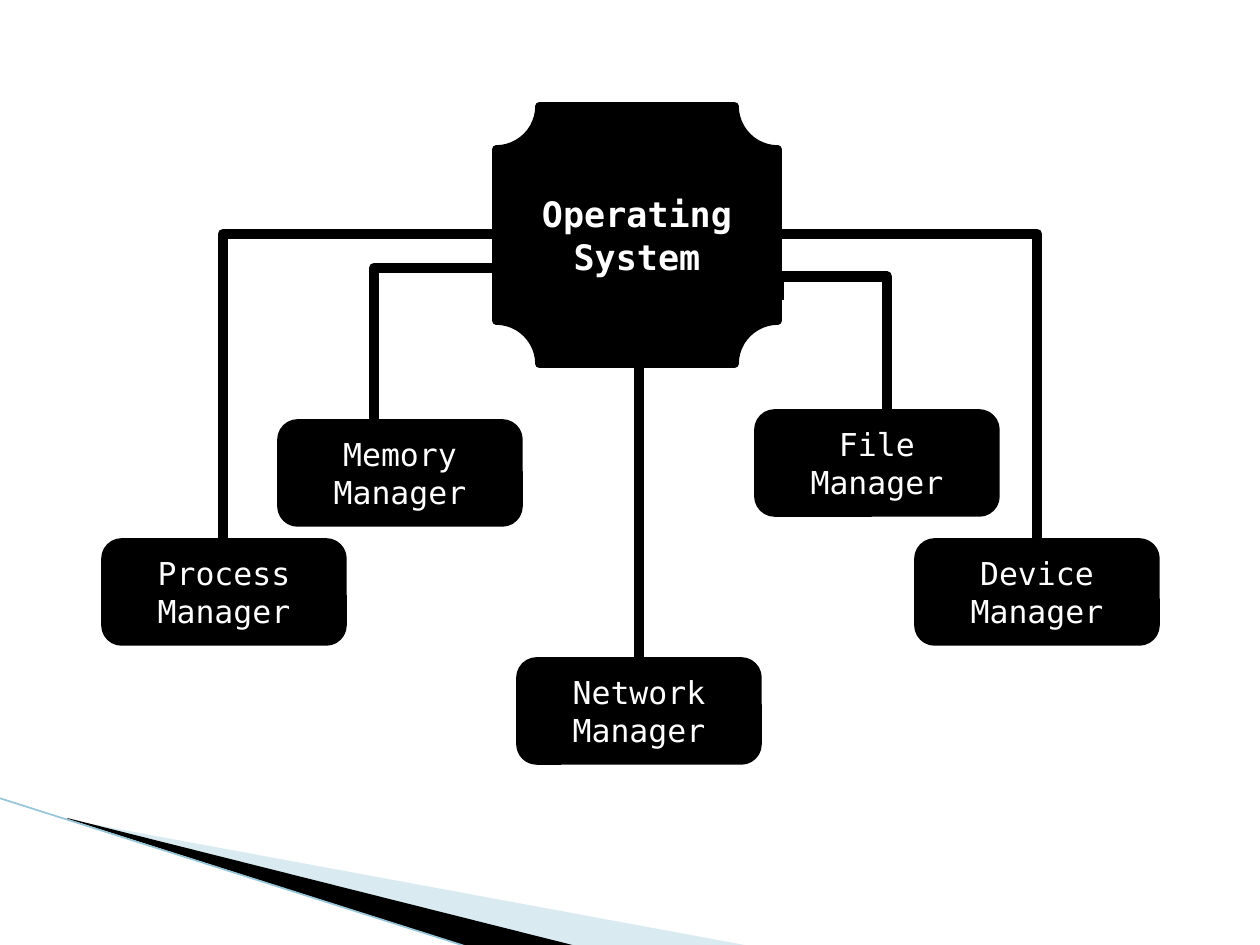
from dataclasses import dataclass

from lxml.etree import SubElement
from pptx import Presentation
from pptx.dml.color import RGBColor
from pptx.enum.shapes import MSO_CONNECTOR, MSO_SHAPE
from pptx.enum.text import MSO_ANCHOR, PP_ALIGN
from pptx.oxml.ns import qn
from pptx.util import Pt

EMU_PER_PX = 914400 / 126
FONT = "DejaVu Sans Mono"
COLORS = {"ink": "000000", "text": "FFFFFF", "sweep": "A0CBDC", "edge": "97C5D8"}
MANAGER_SIZE = (238, 100)


@dataclass(frozen=True)
class Manager:
    """A manager box, given by its name and top left corner."""
    name: str
    left: int
    top: int


@dataclass(frozen=True)
class Elbow:
    """A bent wire; rotation is in degrees and bend in thousandths."""
    begin: tuple[int, int]
    end: tuple[int, int]
    preset: str
    rotation: int = 0
    flips: tuple[str, ...] = ()
    bend: int | None = None


MANAGERS = [
    Manager("Process", 105, 542),
    Manager("Memory", 281, 423),
    Manager("Network", 520, 661),
    Manager("Device", 918, 542),
    Manager("File", 758, 413),
]
ELBOWS = [
    Elbow((223, 542), (496, 234), "bentConnector2", 90, ("flipH", "flipV")),
    Elbow((496, 265), (374, 423), "bentConnector3", 90, bend=19),
    Elbow((779, 234), (1037, 542), "bentConnector2"),
    Elbow((779, 300), (887, 512), "bentConnector3", 270, ("flipH",), bend=-110),
]


def px(length: float) -> int:
    """Turn pixels into EMU."""
    return round(length * EMU_PER_PX)


def color(key: str) -> RGBColor:
    """Look up a named colour."""
    return RGBColor.from_string(COLORS[key])


def write_text(shape, text: str, *, size: int, bold: bool = False) -> None:
    """Write centred lines of text, one paragraph each."""
    frame = shape.text_frame
    frame.word_wrap = True
    frame.vertical_anchor = MSO_ANCHOR.MIDDLE
    frame.text = text
    for paragraph in frame.paragraphs:
        paragraph.alignment = PP_ALIGN.CENTER
        for run in paragraph.runs:
            run.font.name = FONT
            run.font.size = Pt(size)
            run.font.bold = bold
            run.font.color.rgb = color("text")


def add_box(slide, preset, left: int, top: int, width: int, height: int):
    """Add a filled and outlined box."""
    box = slide.shapes.add_shape(preset, px(left), px(top), px(width), px(height))
    box.shadow.inherit = False
    box.fill.solid()
    box.fill.fore_color.rgb = color("ink")
    box.line.color.rgb = color("ink")
    box.line.width = Pt(4.33)
    return box


def add_wire(slide, kind, begin, end, *, line: str = "ink", width: float = 6):
    """Add a connector without a shadow."""
    wire = slide.shapes.add_connector(kind, *(px(value) for value in (*begin, *end)))
    wire.line.color.rgb = color(line)
    wire.line.width = Pt(width)
    SubElement(wire._element.spPr, qn("a:effectLst"))
    return wire


def add_elbow(slide, elbow: Elbow) -> None:
    """Add a bent connector, turned about the centre of its ends."""
    (x1, y1), (x2, y2) = elbow.begin, elbow.end
    width, height = abs(x2 - x1), abs(y2 - y1)
    if elbow.rotation in (90, 270):
        width, height = height, width
    left, top = (x1 + x2 - width) / 2, (y1 + y2 - height) / 2
    wire = add_wire(slide, MSO_CONNECTOR.ELBOW, (left, top), (left + width, top + height))
    properties = wire._element.spPr
    frame = properties.find(qn("a:xfrm"))
    if elbow.rotation:
        frame.set("rot", str(elbow.rotation * 60000))
    for flip in elbow.flips:
        frame.set(flip, "1")
    geometry = properties.find(qn("a:prstGeom"))
    geometry.set("prst", elbow.preset)
    if elbow.bend is not None:
        guides = geometry.find(qn("a:avLst"))
        SubElement(guides, qn("a:gd"), name="adj1", fmla=f"val {elbow.bend * 100}")


def add_sweep(slide, points: list[tuple[int, int]], fill: str, opacity: int = 100) -> None:
    """Add a filled sliver without an outline."""
    builder = slide.shapes.build_freeform(*points[0], scale=EMU_PER_PX)
    builder.add_line_segments(points[1:], close=True)
    sweep = builder.convert_to_shape()
    sweep.shadow.inherit = False
    sweep.fill.solid()
    sweep.fill.fore_color.rgb = color(fill)
    sweep.line.fill.background()
    if opacity < 100:
        tint = sweep._element.spPr.find(qn("a:solidFill"))[0]
        SubElement(tint, qn("a:alpha"), val=str(opacity * 1000))


def main() -> None:
    """Build the operating system slide."""
    deck = Presentation()
    deck.slide_width, deck.slide_height = px(1260), px(945)
    slide = deck.slides.add_slide(deck.slide_layouts[6])

    add_sweep(slide, [(69, 820), (750, 946), (575, 946), (69, 819)], "sweep", 40)
    add_sweep(slide, [(67, 818), (576, 946), (469, 947), (68, 819)], "ink")
    add_wire(slide, MSO_CONNECTOR.STRAIGHT, (-1, 798), (468, 947), line="edge", width=0.95)

    system = add_box(slide, MSO_SHAPE.PLAQUE, 496, 106, 282, 258)
    write_text(system, "Operating\nSystem", size=20, bold=True)
    for elbow in ELBOWS:
        add_elbow(slide, elbow)

    boxes = {}
    for manager in MANAGERS:
        box = add_box(slide, MSO_SHAPE.ROUNDED_RECTANGLE, manager.left, manager.top, *MANAGER_SIZE)
        write_text(box, f"{manager.name}\nManager", size=18)
        boxes[manager.name] = box

    network_wire = add_wire(slide, MSO_CONNECTOR.STRAIGHT, (639, 661), (639, 324))
    network_wire.begin_connect(boxes["Network"], 0)

    deck.save("out.pptx")


if __name__ == "__main__":
    main()
